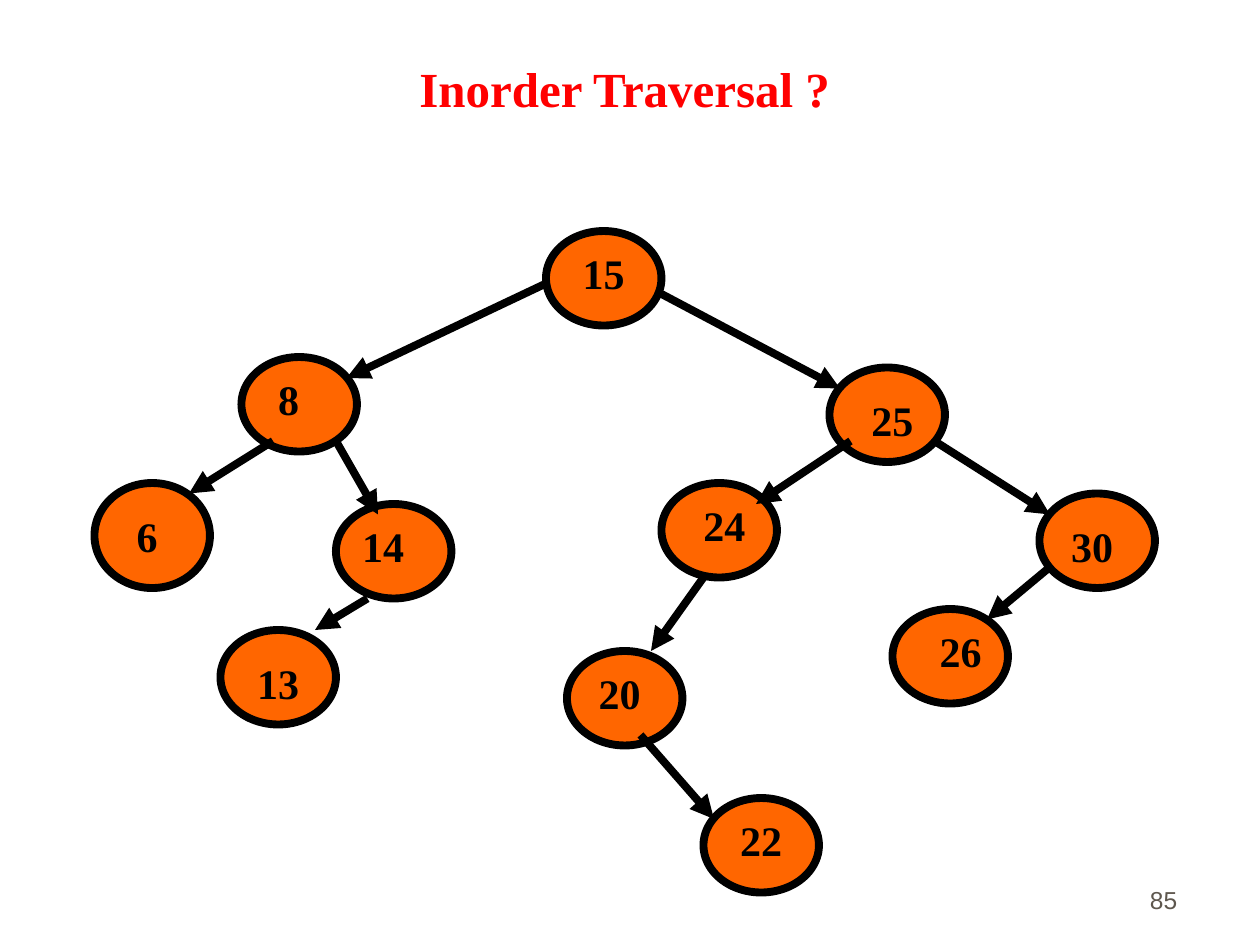
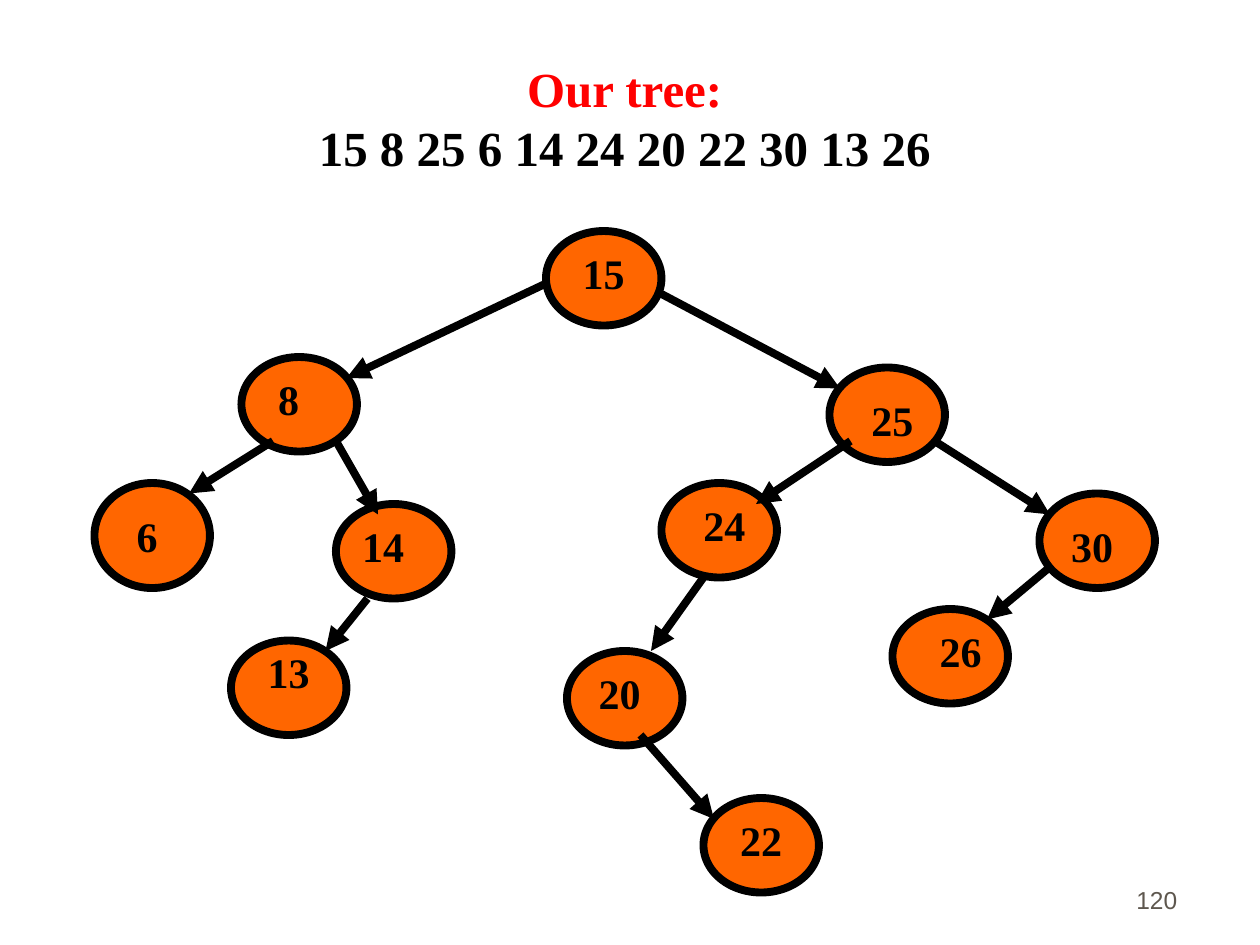
from collections import namedtuple

from lxml import etree
from pptx import Presentation
from pptx.dml.color import RGBColor
from pptx.enum.shapes import MSO_CONNECTOR, MSO_SHAPE
from pptx.enum.text import MSO_ANCHOR, PP_ALIGN
from pptx.oxml.ns import qn
from pptx.util import Inches, Pt

STRAIGHT = MSO_CONNECTOR.STRAIGHT
OVAL = MSO_SHAPE.OVAL
TOP, BOTTOM = MSO_ANCHOR.TOP, MSO_ANCHOR.BOTTOM
CENTER, RIGHT = PP_ALIGN.CENTER, PP_ALIGN.RIGHT

ORANGE = RGBColor(0xFF, 0x66, 0x00)
RED = RGBColor(0xFF, 0x00, 0x00)
BLACK = RGBColor(0x00, 0x00, 0x00)
GREY = RGBColor(0x5E, 0x57, 0x4E)
SERIF, SANS = "Times New Roman", "Arial"
LINE_WIDTH = Pt(4.5)

# The slide is a grid of 120 columns by 90 rows
COLUMNS, ROWS = 120, 90
CELL = Inches(10) // COLUMNS

Box = namedtuple("Box", "left top width height")
# label is the number's column and row offset in the node, and its width
Node = namedtuple("Node", "column row label height", defaults=[9])
# start and end are offsets in the parent node and in the child node
Edge = namedtuple("Edge", "parent child start end")

NODE_WIDTH, LABEL_HEIGHT = 11, 6
TITLE_BOX = Box(24, 5, 71, 7)
TREE_BOX = Box(9, 22, 101, 63)
NUMBER_BOX = Box(88.3, 81.7, 25, 6)

NODES = {
    15: Node(43, 0, (2, 1, 7)),
    8: Node(14, 12, (2, 1, 5)),
    25: Node(70, 13, (2, 2, 8)),
    6: Node(0, 24, (1, 2, 8), 10),
    14: Node(23, 26, (1, 1, 7)),
    24: Node(54, 24, (2, 1, 8)),
    20: Node(45, 40, (1, 1, 8)),
    22: Node(58, 54, (2, 1, 7)),
    30: Node(90, 25, (1, 2, 8)),
    26: Node(76, 36, (3, 1, 7)),
}
EDGES = [
    Edge(15, 8, (0, 5), (10, 2)),
    Edge(15, 25, (11, 6), (1, 2)),
    Edge(8, 6, (3, 8), (9, 1)),
    Edge(8, 14, (9, 8), (4, 1)),
    Edge(25, 24, (2, 7), (9, 2)),
    Edge(24, 20, (4, 9), (8, 0)),
    Edge(25, 30, (10, 7), (1, 2)),
    Edge(30, 26, (1, 7), (9, 1)),
    Edge(20, 22, (7, 8), (1, 2)),
]


def cells(*counts):
    return [round(count * CELL) for count in counts]


def add_text(page, box, lines, size, font=SERIF, bold=True, align=CENTER, anchor=TOP):
    """Write (text, colour) lines into a text box."""
    frame = page.shapes.add_textbox(*cells(*box)).text_frame
    frame.word_wrap = True
    frame.vertical_anchor = anchor
    for index, (text, colour) in enumerate(lines):
        para = frame.add_paragraph() if index else frame.paragraphs[0]
        para.text = text
        para.alignment = align
        para.font.name, para.font.size, para.font.bold = font, Pt(size), bold
        para.font.color.rgb = colour


def add_node(page, box):
    oval = page.shapes.add_shape(OVAL, *cells(*box))
    oval.shadow.inherit = False
    oval.fill.solid()
    oval.fill.fore_color.rgb = ORANGE
    oval.line.color.rgb = BLACK
    oval.line.width = LINE_WIDTH


def add_arrow(page, start, end):
    arrow = page.shapes.add_connector(STRAIGHT, *cells(*start, *end))
    arrow.line.color.rgb = BLACK
    arrow.line.width = LINE_WIDTH
    etree.SubElement(arrow.line._get_or_add_ln(), qn("a:tailEnd"), type="triangle")
    etree.SubElement(arrow._element.spPr, qn("a:effectLst"))


def add_tree(page, box, nodes, edges):
    def point(value, offset):
        node = nodes[value]
        return box.left + node.column + offset[0], box.top + node.row + offset[1]

    # Ovals lie under the arrows and the numbers
    for value, node in nodes.items():
        add_node(page, Box(*point(value, (0, 0)), NODE_WIDTH, node.height))
    for edge in edges:
        add_arrow(page, point(edge.parent, edge.start), point(edge.child, edge.end))
    for value, node in nodes.items():
        label_box = Box(*point(value, node.label[:2]), node.label[2], LABEL_HEIGHT)
        add_text(page, label_box, [(str(value), BLACK)], 24)


def add_tree_slide(deck, title_lines, number, node_13, arrow_end):
    page = deck.slides.add_slide(deck.slide_layouts[6])
    title_box = TITLE_BOX._replace(height=TITLE_BOX.height * len(title_lines))
    add_text(page, title_box, title_lines, 28)
    # Node 13 is the only one that moves between slides
    add_tree(page, TREE_BOX, {**NODES, 13: node_13},
             EDGES + [Edge(14, 13, (3, 9), arrow_end)])
    add_text(page, NUMBER_BOX, [(number, GREY)], 14, SANS, False, RIGHT, BOTTOM)


def main():
    deck = Presentation()
    deck.slide_width, deck.slide_height = cells(COLUMNS, ROWS)
    add_tree_slide(deck, [("Inorder Traversal ?", RED)], "85",
                   Node(12, 38, (2, 2, 7)), (9, 0))
    add_tree_slide(deck, [("Our tree:", RED),
                          ("15 8 25 6 14 24 20 22 30 13 26", BLACK)], "120",
                   Node(13, 39, (2, 0, 7)), (9, 1))
    deck.save("out.pptx")


if __name__ == "__main__":
    main()
